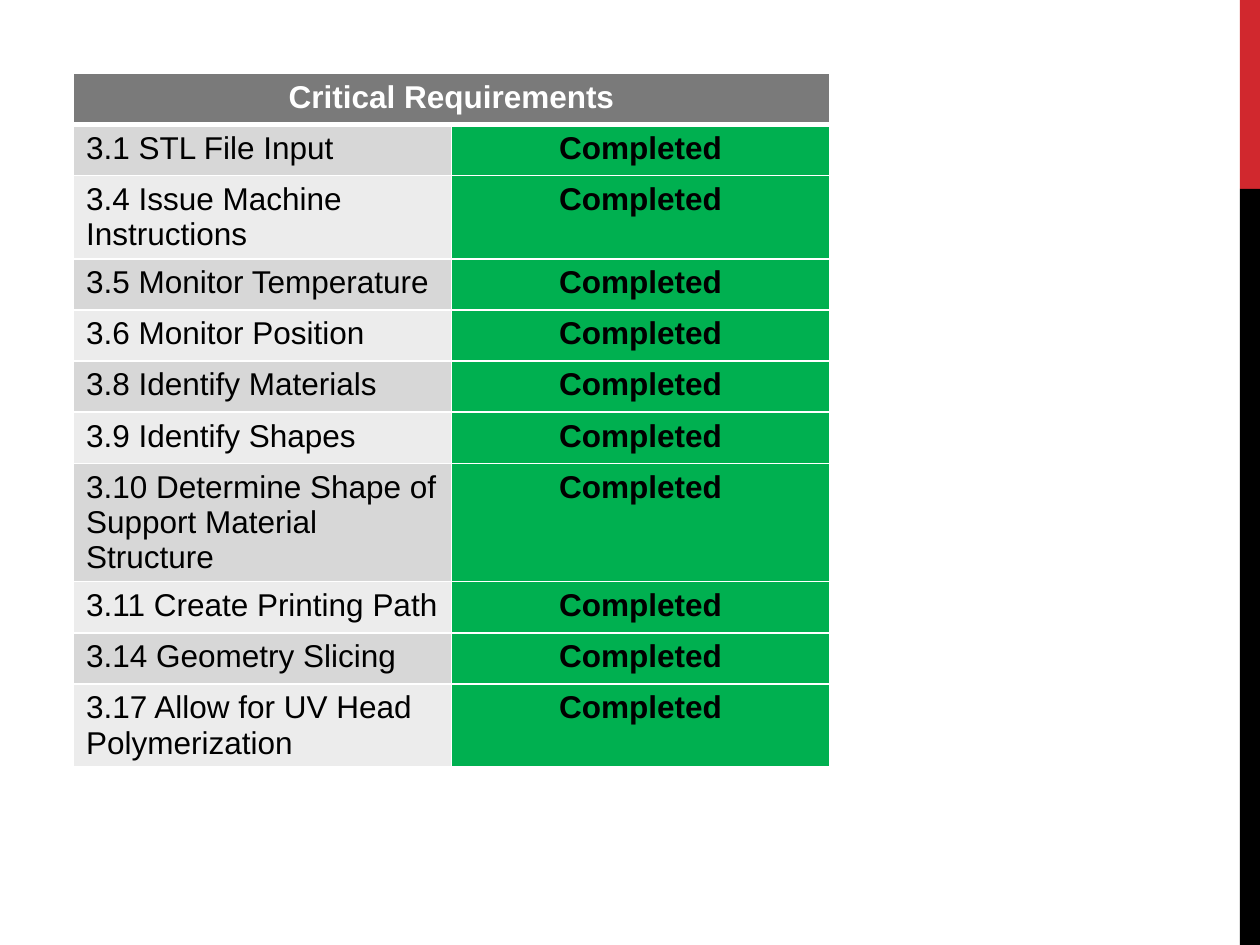
"""Build a slide that lists the critical requirements and their status."""
from dataclasses import dataclass

from lxml.etree import SubElement
from pptx import Presentation
from pptx.dml.color import RGBColor
from pptx.enum.shapes import MSO_SHAPE
from pptx.enum.text import PP_ALIGN
from pptx.oxml.ns import qn
from pptx.util import Pt


@dataclass(frozen=True)
class Theme:
    """Colours and type of the slide."""
    font: str = "Arial"
    size: int = 18
    accent: str = "D1282E"
    dark: str = "000000"
    light: str = "FFFFFF"
    header: str = "7A7A7A"
    bands: tuple = ("D7D7D7", "ECECEC")
    done: str = "00B050"
    rule: int = 1
    header_rule: int = 3


THEME = Theme()
REQUIREMENTS = (
    "3.1 STL File Input",
    "3.4 Issue Machine Instructions",
    "3.5 Monitor Temperature",
    "3.6 Monitor Position",
    "3.8 Identify Materials",
    "3.9 Identify Shapes",
    "3.10 Determine Shape of Support Material Structure",
    "3.11 Create Printing Path",
    "3.14 Geometry Slicing",
    "3.17 Allow for UV Head Polymerization",
)


def add_band(slide, left, top, width, height, color):
    """Add a plain rectangle at the slide edge."""
    band = slide.shapes.add_shape(
        MSO_SHAPE.RECTANGLE, Pt(left), Pt(top), Pt(width), Pt(height))
    band.shadow.inherit = False
    band.fill.solid()
    band.fill.fore_color.rgb = RGBColor.from_string(color)
    band.line.fill.background()


def set_borders(cell, top, bottom):
    """Draw the four borders of a cell, with given top and bottom weights."""
    properties = cell._tc.get_or_add_tcPr()
    weights = {"lnL": THEME.rule, "lnR": THEME.rule, "lnT": top, "lnB": bottom}
    for side, weight in weights.items():
        border = SubElement(properties, qn(f"a:{side}"), w=str(Pt(weight)))
        paint = SubElement(border, qn("a:solidFill"))
        SubElement(paint, qn("a:srgbClr"), val=THEME.light)


def fill_cell(cell, text, fill, color=THEME.dark, bold=True,
              align=PP_ALIGN.CENTER, top=THEME.rule, bottom=THEME.rule):
    """Write and style one table cell."""
    set_borders(cell, top, bottom)
    cell.fill.solid()
    cell.fill.fore_color.rgb = RGBColor.from_string(fill)
    paragraph = cell.text_frame.paragraphs[0]
    paragraph.alignment = align
    run = paragraph.add_run()
    run.text = text
    run.font.name = THEME.font
    run.font.size = Pt(THEME.size)
    run.font.bold = bold
    run.font.color.rgb = RGBColor.from_string(color)


def add_status_table(slide, left, top, column_width, row_height):
    """Add the requirements table with its merged header."""
    row_count = len(REQUIREMENTS) + 1
    table = slide.shapes.add_table(
        row_count, 2, Pt(left), Pt(top),
        Pt(2 * column_width), Pt(row_count * row_height)).table
    for row in table.rows:
        row.height = Pt(row_height)
    heading = table.cell(0, 0)
    heading.merge(table.cell(0, 1))
    fill_cell(heading, "Critical Requirements", THEME.header, THEME.light,
              bottom=THEME.header_rule)
    for number, requirement in enumerate(REQUIREMENTS, 1):
        rule = THEME.header_rule if number == 1 else THEME.rule
        fill_cell(table.cell(number, 0), requirement,
                  THEME.bands[(number - 1) % 2], bold=False,
                  align=PP_ALIGN.LEFT, top=rule)
        fill_cell(table.cell(number, 1), "Completed", THEME.done, top=rule)


def main():
    """Build and save the slide."""
    deck = Presentation()
    deck.slide_width, deck.slide_height = Pt(720), Pt(540)
    slide = deck.slides.add_slide(deck.slide_layouts[6])
    add_band(slide, 708.5, 0, 11.5, 108, THEME.accent)
    add_band(slide, 708.5, 108, 11.5, 432, THEME.dark)
    add_status_table(slide, 42, 42, 216, 29.2)
    deck.save("out.pptx")


if __name__ == "__main__":
    main()
